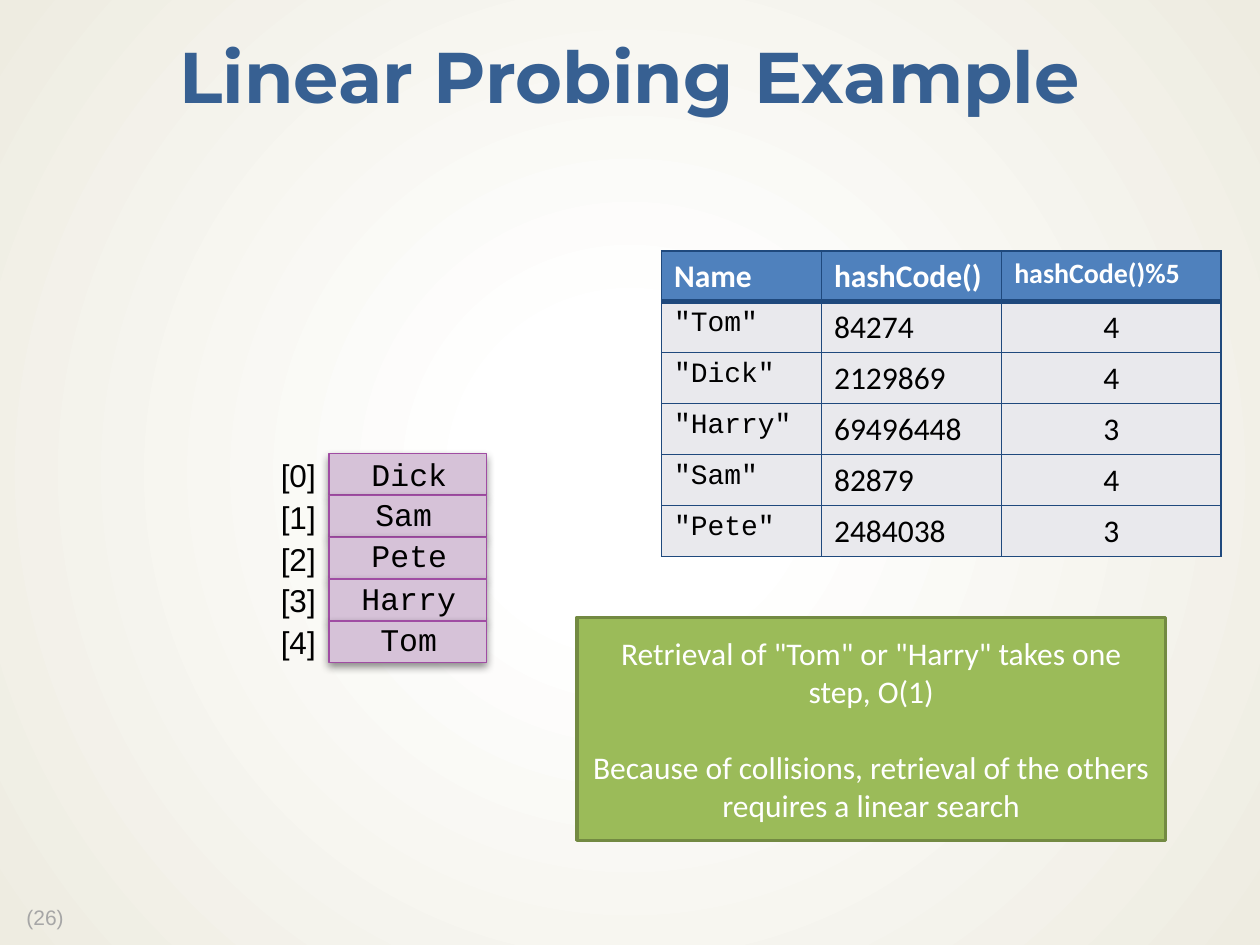
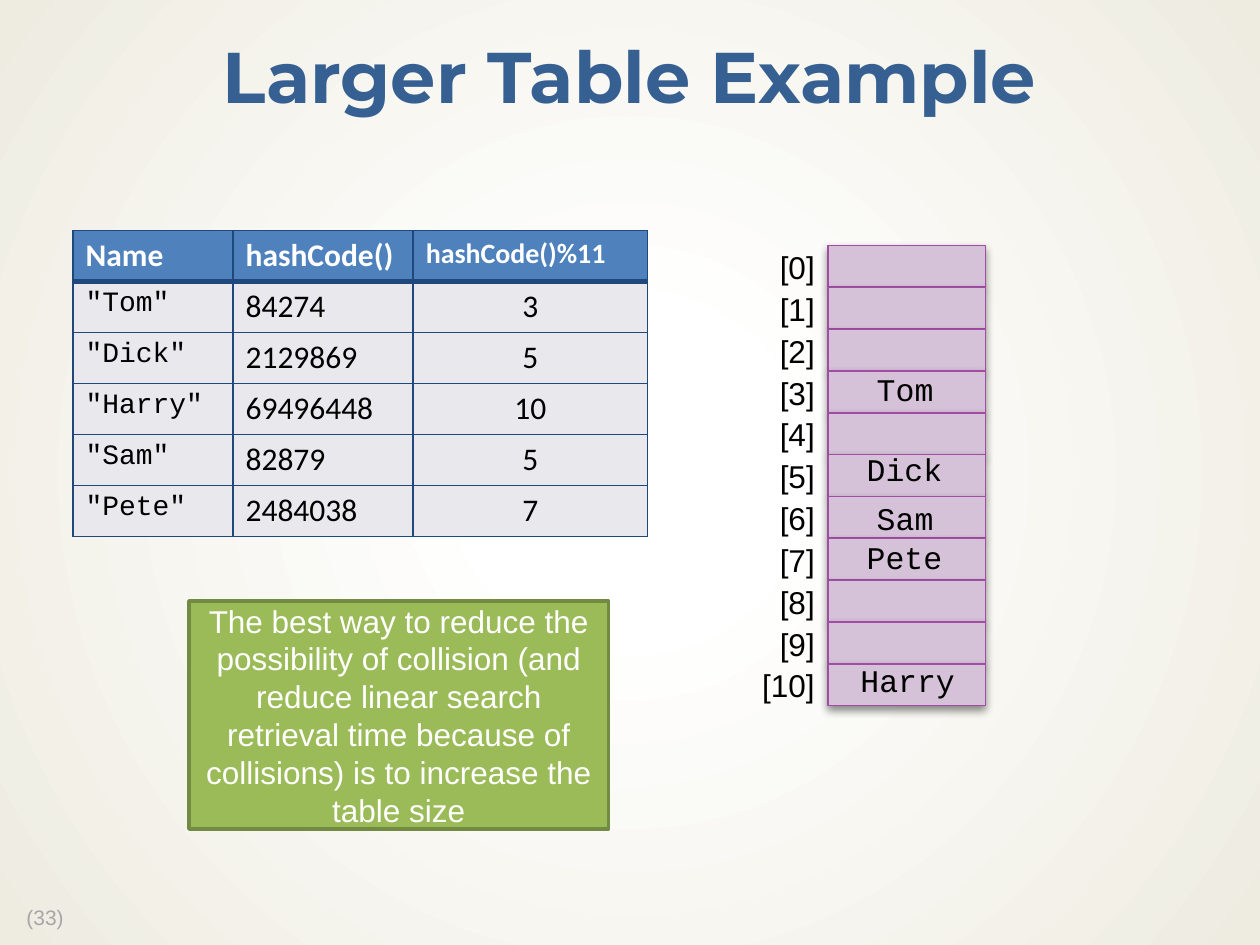
from pptx import Presentation
from pptx.dml.color import RGBColor
from pptx.enum.shapes import MSO_SHAPE
from pptx.enum.text import MSO_ANCHOR, MSO_AUTO_SIZE, PP_ALIGN
from pptx.oxml import parse_xml
from pptx.oxml.ns import nsdecls, qn
from pptx.util import Inches, Pt

# Content: positions are in inches; each name has its slot and offset from the slot's corner
KEYS = [("Tom", 84274), ("Dick", 2129869), ("Harry", 69496448), ("Sam", 82879), ("Pete", 2484038)]

SLIDES = [
    {
        "title": "Linear Probing Example", "number": "(26)",
        "table": {"at": (5.25, 1.99), "size": 5, "last": 1.74, "mods": [4, 4, 3, 4, 3]},
        "slots": {"at": (2.61, 3.6), "count": 5, "names": [
            ("Tom", 4, 0.31, -0.06), ("Dick", 0, 0.24, -0.04), ("Harry", 3, 0.16, -0.05),
            ("Sam", 1, 0.27, -0.05), ("Pete", 2, 0.24, -0.06)]},
        "note": {"box": (4.58, 4.9, 4.67, 1.77), "font": "Calibri", "lines": [
            'Retrieval of "Tom" or "Harry" takes one step, O(1)',
            "Because of collisions, retrieval of the others requires a linear search"]},
    },
    {
        "title": "Larger Table Example", "number": "(33)",
        "table": {"at": (0.58, 1.83), "size": 11, "last": 1.86, "mods": [3, 5, 10, 5, 7]},
        "slots": {"at": (6.57, 1.95), "count": 11, "names": [
            ("Tom", 3, 0.29, -0.06), ("Dick", 5, 0.21, -0.09), ("Harry", 10, 0.16, -0.07),
            ("Sam", 6, 0.29, -0.03), ("Pete", 7, 0.21, -0.05)]},
        "note": {"box": (1.5, 4.77, 3.33, 1.81), "font": "Arial", "lines": [
            "The best way to reduce the possibility of collision (and reduce linear search "
            "retrieval time because of collisions) is to increase the table size"]},
    },
]

# Shared look
HUES = {
    "title": "376092", "page": "A6A6A6", "ink": "000000", "white": "FFFFFF", "sand": "EEECE1",
    "head": "4F81BD", "body": "E9E9ED", "rule": "1F497D",
    "slot": "D6C2D8", "edge": "A04DA3", "note": "9BBB59", "rim": "738A42",
}
WIDE, HIGH = 10, 7.5
ROW = 2.43 / 6
SLOT_W, SLOT_H = 1.25, 0.33
STEP = 3.32 / 10


def hue(name):
    return RGBColor.from_string(HUES[name])


def style(para, font, size, color, bold=False, align=None):
    if align is not None:
        para.alignment = align
    for run in para.runs:
        run.font.name, run.font.size, run.font.bold = font, Pt(size), bold
        run.font.color.rgb = hue(color)


def label(slide, text, box, font, size, color, bold=False, align=None):
    frame = slide.shapes.add_textbox(*map(Inches, box)).text_frame
    frame.text = text
    frame.word_wrap = False
    frame.auto_size = MSO_AUTO_SIZE.SHAPE_TO_FIT_TEXT
    style(frame.paragraphs[0], font, size, color, bold, align)
    return frame


def rect(slide, box, fill, line, width):
    shape = slide.shapes.add_shape(MSO_SHAPE.RECTANGLE, *map(Inches, box))
    shape.shadow.inherit = False
    shape.fill.solid()
    shape.fill.fore_color.rgb = hue(fill)
    shape.line.color.rgb = hue(line)
    shape.line.width = Pt(width)
    return shape


# Background, title and page number
def frame_slide(slide, title, number):
    fill = slide.background.fill
    fill.gradient()
    grad = fill._fill._gradFill
    for child in list(grad):
        grad.remove(child)
    grad.append(parse_xml(
        f'<a:gsLst {nsdecls("a")}>'
        f'<a:gs pos="18000"><a:srgbClr val="{HUES["white"]}"><a:alpha val="53000"/></a:srgbClr></a:gs>'
        f'<a:gs pos="100000"><a:srgbClr val="{HUES["sand"]}"/></a:gs></a:gsLst>'))
    grad.append(parse_xml(
        f'<a:path {nsdecls("a")} path="circle">'
        '<a:fillToRect l="50000" t="50000" r="50000" b="50000"/></a:path>'))

    page = label(slide, number, (0.07, 7.15, 0.56, 0.28), "Arial", 12, "page")
    page.margin_left = Inches(0.14)
    head = label(slide, title, (0, 0.17, WIDE, 0.94), "Montserrat", 41, "title", True, PP_ALIGN.CENTER)
    head.auto_size = MSO_AUTO_SIZE.NONE
    head.word_wrap = True
    head.vertical_anchor = MSO_ANCHOR.MIDDLE
    for text in (page, head):
        text.paragraphs[0].line_spacing = 0.9


def border(cell, row):
    props = cell._tc.get_or_add_tcPr()
    thick = {"lnT": row == 1, "lnB": row == 0}
    for spot, side in enumerate(("lnL", "lnR", "lnT", "lnB")):
        width = Pt(3 if thick.get(side) else 1)
        props.insert(spot, parse_xml(
            f'<a:{side} {nsdecls("a")} w="{width}"><a:solidFill>'
            f'<a:srgbClr val="{HUES["rule"]}"/></a:solidFill></a:{side}>'))


# Table of hash codes
def hash_table(slide, at, size, last, mods):
    rows = [("Name", "hashCode()", f"hashCode()%{size}")]
    rows += [(f'"{name}"', str(code), str(mod)) for (name, code), mod in zip(KEYS, mods)]
    cols = (1.27, 1.43, last)
    box = (*at, sum(cols), ROW * len(rows))
    table = slide.shapes.add_table(len(rows), len(cols), *map(Inches, box)).table
    table.horz_banding = False
    for col, width in zip(table.columns, cols):
        col.width = Inches(width)
    for r, row in enumerate(rows):
        for c, text in enumerate(row):
            cell = table.cell(r, c)
            cell.text = text
            cell.fill.solid()
            cell.fill.fore_color.rgb = hue("body" if r else "head")
            border(cell, r)
            para = cell.text_frame.paragraphs[0]
            if r == 0:
                style(para, "Calibri", 16 if c == 2 else 18, "white", True)
            elif c == 0:
                style(para, "Courier New", 16, "ink")
            else:
                style(para, "Calibri", 18, "ink", align=PP_ALIGN.CENTER if c == 2 else None)


# Column of numbered slots and the names they hold
def slot_list(slide, at, count, names):
    left, top = at
    for i in range(count):
        y = top + i * STEP
        shape = rect(slide, (left, y, SLOT_W, SLOT_H), "slot", "edge", 0.79)
        shape._element.spPr.find(qn("a:effectLst")).append(parse_xml(
            f'<a:outerShdw {nsdecls("a")} blurRad="{Pt(5)}" dist="{Pt(2.4)}" dir="5400000" '
            f'rotWithShape="0"><a:srgbClr val="{HUES["ink"]}"><a:alpha val="45000"/>'
            '</a:srgbClr></a:outerShdw>'))
    for i in range(count):
        text = f"[{i}]"
        width = 0.06 + 0.14 * len(text)
        label(slide, text, (left - width, top + i * STEP - 0.03, width, 0.4), "Arial", 18, "ink")
    for name, slot, dx, dy in names:
        box = (left + dx, top + slot * STEP + dy, 0.2 + 0.15 * len(name), 0.4)
        label(slide, name, box, "Courier New", 18, "ink")


# Green remark
def remark(slide, box, font, lines):
    frame = rect(slide, box, "note", "rim", 2).text_frame
    frame.text = "\n".join(lines)
    frame.word_wrap = True
    frame.vertical_anchor = MSO_ANCHOR.MIDDLE
    for i, para in enumerate(frame.paragraphs):
        style(para, font, 18, "white", align=PP_ALIGN.CENTER)
        if i:
            para.space_before = Pt(22)


def main():
    deck = Presentation()
    deck.slide_width, deck.slide_height = Inches(WIDE), Inches(HIGH)
    for data in SLIDES:
        slide = deck.slides.add_slide(deck.slide_layouts[6])
        frame_slide(slide, data["title"], data["number"])
        hash_table(slide, **data["table"])
        slot_list(slide, **data["slots"])
        remark(slide, **data["note"])
    deck.save("out.pptx")


if __name__ == "__main__":
    main()
